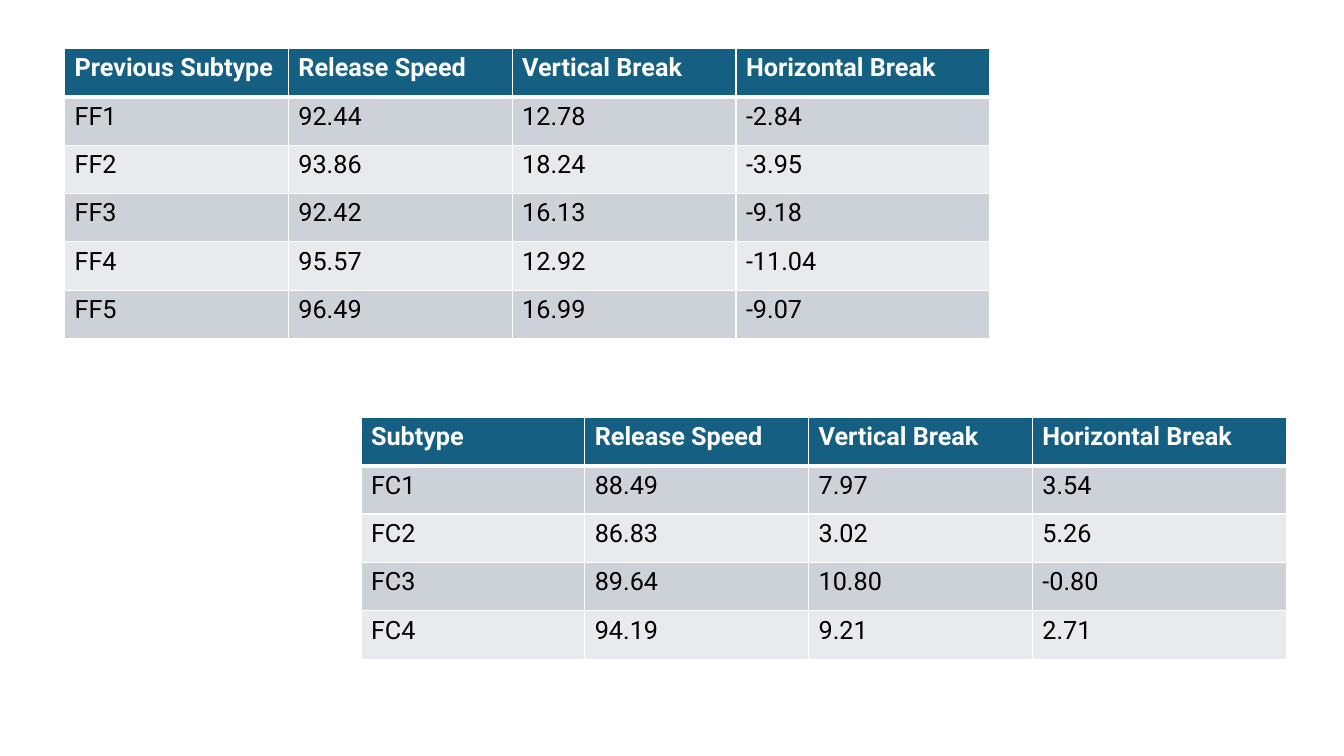
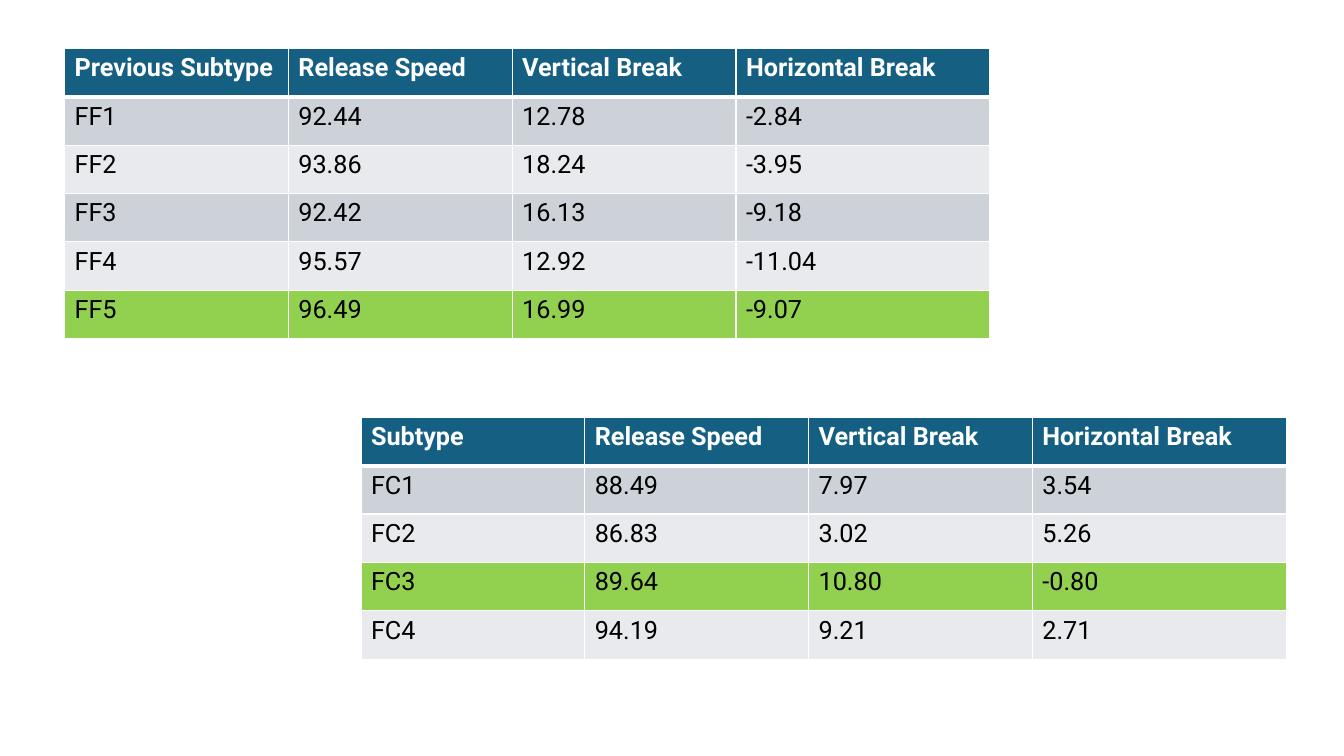
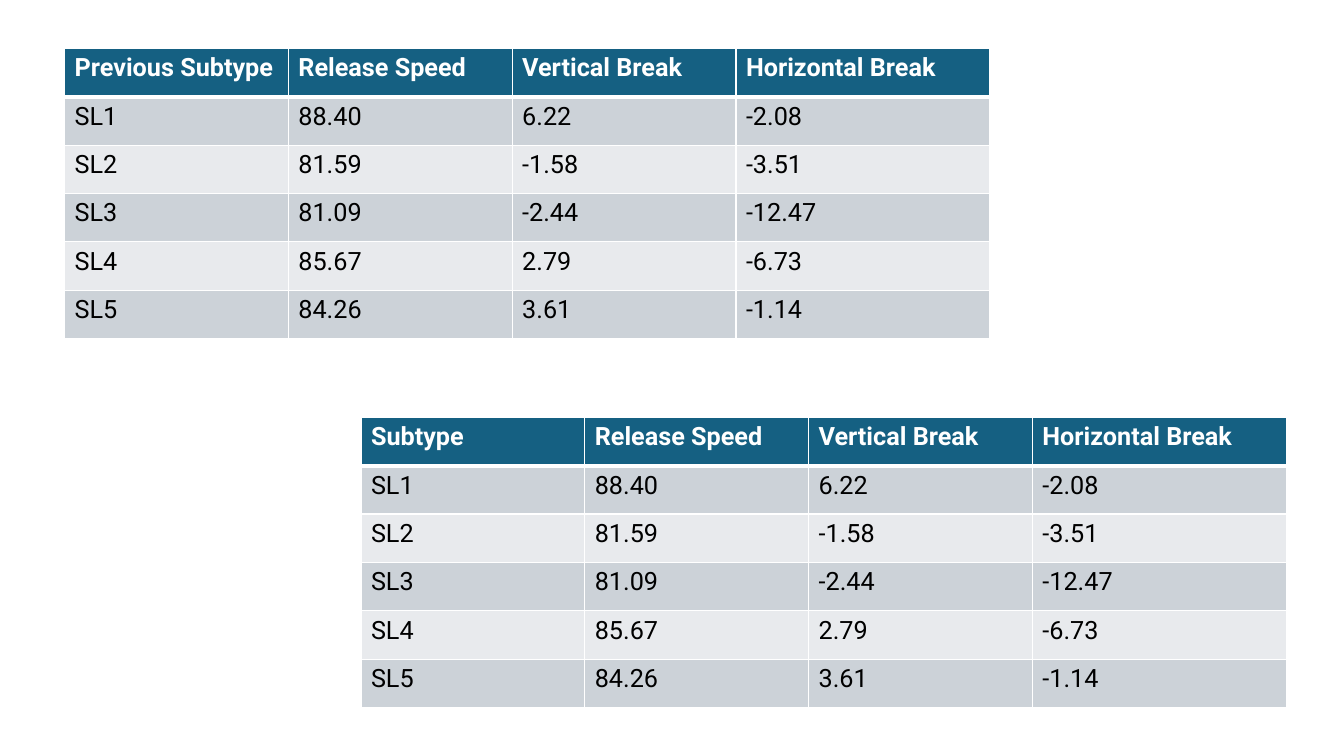
from dataclasses import dataclass

from lxml import etree
from pptx import Presentation
from pptx.dml.color import RGBColor
from pptx.oxml import ns
from pptx.slide import Slide
from pptx.table import _Cell
from pptx.util import Inches, Pt

FONT = "Roboto"
FONT_SIZE = 18
WHITE = "FFFFFF"
BLACK = "000000"
HEADER_FILL = "156082"
BAND_FILLS = ("CCD2D8", "E8EAED")
HIGHLIGHT = "92D050"

COLUMN_WIDTHS = (2.22, 2.22, 2.22, 2.52)
ROW_HEIGHT = 0.48
THIN, THICK = 1, 3
MEASURES = ("Release Speed", "Vertical Break", "Horizontal Break")

Row = tuple[str, str, str, str]

FASTBALLS: list[Row] = [
    ("FF1", "92.44", "12.78", "-2.84"),
    ("FF2", "93.86", "18.24", "-3.95"),
    ("FF3", "92.42", "16.13", "-9.18"),
    ("FF4", "95.57", "12.92", "-11.04"),
    ("FF5", "96.49", "16.99", "-9.07"),
]
CUTTERS: list[Row] = [
    ("FC1", "88.49", "7.97", "3.54"),
    ("FC2", "86.83", "3.02", "5.26"),
    ("FC3", "89.64", "10.80", "-0.80"),
    ("FC4", "94.19", "9.21", "2.71"),
]
SLIDERS: list[Row] = [
    ("SL1", "88.40", "6.22", "-2.08"),
    ("SL2", "81.59", "-1.58", "-3.51"),
    ("SL3", "81.09", "-2.44", "-12.47"),
    ("SL4", "85.67", "2.79", "-6.73"),
    ("SL5", "84.26", "3.61", "-1.14"),
]


@dataclass(frozen=True)
class TablePlace:
    first_heading: str
    left: float
    top: float


@dataclass(frozen=True)
class Pitches:
    rows: list[Row]
    highlighted: str = ""


PLACES = (
    TablePlace("Previous Subtype", 0.64, 0.48),
    TablePlace("Subtype", 3.58, 4.14),
)
SLIDES = (
    (Pitches(FASTBALLS), Pitches(CUTTERS)),
    (Pitches(FASTBALLS, "FF5"), Pitches(CUTTERS, "FC3")),
    (Pitches(SLIDERS), Pitches(SLIDERS)),
)


def rgb(color: str) -> RGBColor:
    return RGBColor.from_string(color)


def set_borders(cell: _Cell, top: int, bottom: int) -> None:
    """Draw white borders; call before filling, as the schema puts lines first."""
    props = cell._tc.get_or_add_tcPr()
    for side, width in (("L", THIN), ("R", THIN), ("T", top), ("B", bottom)):
        line = etree.SubElement(props, ns.qn(f"a:ln{side}"), w=str(Pt(width)))
        fill = etree.SubElement(line, ns.qn("a:solidFill"))
        etree.SubElement(fill, ns.qn("a:srgbClr"), val=WHITE)


def style_cell(cell: _Cell, value: str, row: int, fill: str) -> None:
    is_header = row == 0
    set_borders(cell, THICK if row == 1 else THIN, THICK if is_header else THIN)
    cell.fill.solid()
    cell.fill.fore_color.rgb = rgb(fill)
    cell.text = value
    font = cell.text_frame.paragraphs[0].font
    font.name = FONT
    font.size = Pt(FONT_SIZE)
    font.bold = is_header
    font.color.rgb = rgb(WHITE if is_header else BLACK)


def row_fill(row: int, subtype: str, highlighted: str) -> str:
    if row == 0:
        return HEADER_FILL
    if subtype == highlighted:
        return HIGHLIGHT
    return BAND_FILLS[(row - 1) % 2]


def add_pitch_table(slide: Slide, place: TablePlace, pitches: Pitches) -> None:
    rows = [(place.first_heading, *MEASURES), *pitches.rows]
    table = slide.shapes.add_table(
        len(rows), len(COLUMN_WIDTHS),
        Inches(place.left), Inches(place.top),
        Inches(sum(COLUMN_WIDTHS)), Inches(ROW_HEIGHT * len(rows)),
    ).table
    for column, width in zip(table.columns, COLUMN_WIDTHS):
        column.width = Inches(width)
    for r, values in enumerate(rows):
        table.rows[r].height = Inches(ROW_HEIGHT)
        fill = row_fill(r, values[0], pitches.highlighted)
        for c, value in enumerate(values):
            style_cell(table.cell(r, c), value, r, fill)


def main() -> None:
    prs = Presentation()
    prs.slide_width = Inches(13.33)
    prs.slide_height = Inches(7.5)
    blank = prs.slide_layouts[6]
    for tables in SLIDES:
        slide = prs.slides.add_slide(blank)
        for place, pitches in zip(PLACES, tables):
            add_pitch_table(slide, place, pitches)
    prs.save("out.pptx")


if __name__ == "__main__":
    main()
